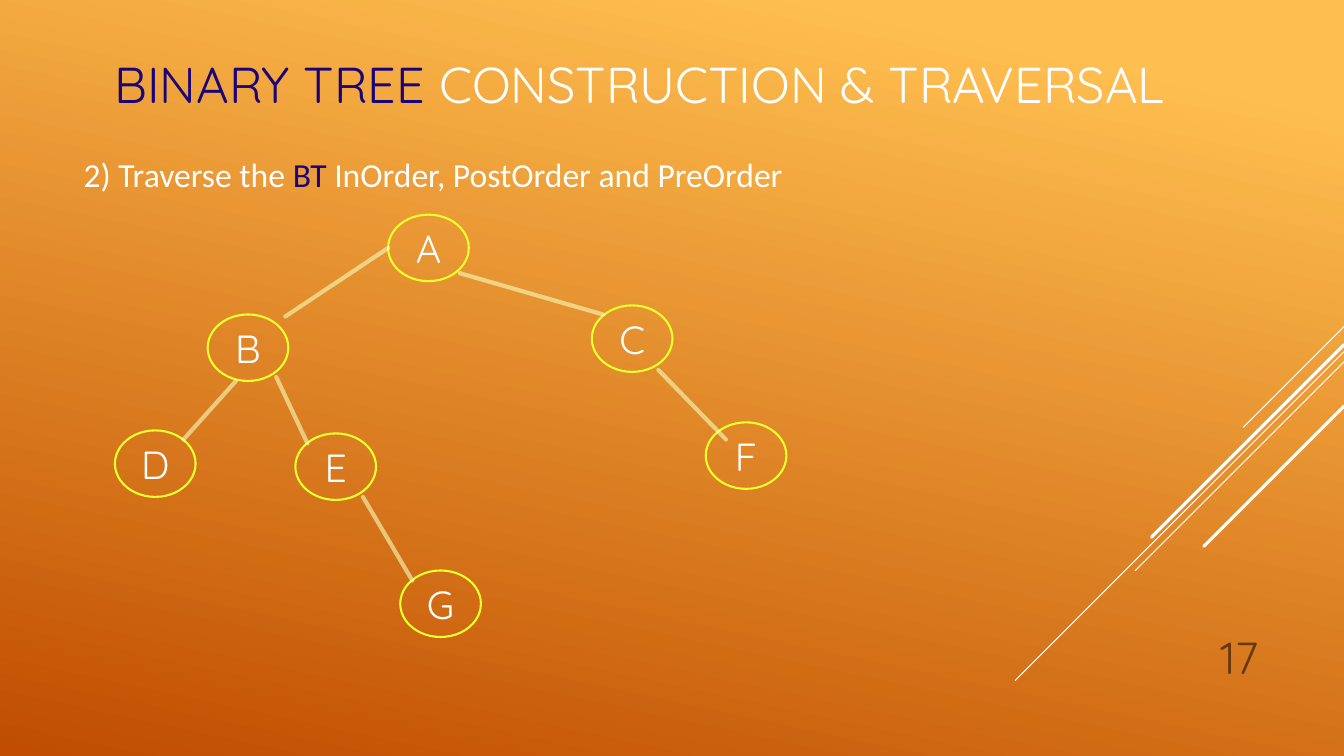
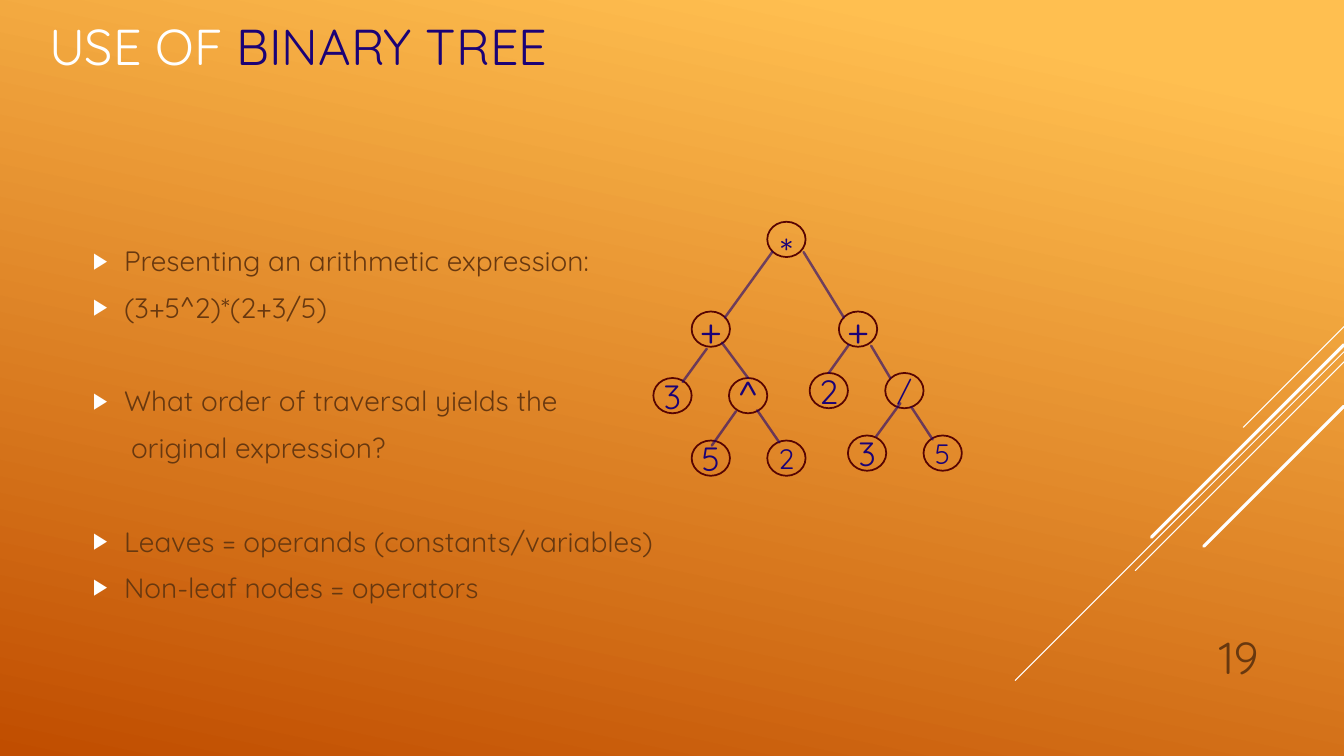
import pptx
import pptx.util
import pptx.dml.color
import pptx.enum.shapes
import pptx.enum.text
import pptx.oxml.ns
from lxml import etree

Inches, Pt = pptx.util.Inches, pptx.util.Pt
RGBColor = pptx.dml.color.RGBColor
Align = pptx.enum.text.PP_ALIGN
Anchor = pptx.enum.text.MSO_ANCHOR
qn = pptx.oxml.ns.qn

WHITE = RGBColor(0xFF, 0xFF, 0xFF)
NAVY = RGBColor(0x1B, 0x02, 0x76)
BROWN = RGBColor(0x68, 0x38, 0x0F)
MAROON = RGBColor(0x57, 0x04, 0x02)
LIME = RGBColor(0xEA, 0xFF, 0x2E)
CREAM = RGBColor(0xF8, 0xFF, 0xB9)
AMBER = RGBColor(0xFF, 0xBF, 0x50)
RUST = RGBColor(0xC0, 0x4D, 0x00)
FONT = "Quicksand"

WIDTH, HEIGHT = 13.33, 7.5
# Diagonals fall at 45 degrees from the right edge: top, run, weight
DIAGONALS = [(3.24, 1, 0.75), (3.49, 3.26, 0.75), (3.59, 2.07, 0.75),
             (3.42, 1.91, 2.25), (4.03, 1.39, 2.25)]
NUMBER_BOX = (11.33, 6.1, 1.25, 0.73)

TRAVERSAL = {
    "title": [("BINARY TREE ", NAVY), ("CONSTRUCTION & TRAVERSAL", WHITE)],
    "title_box": (0.62, 0, 11.03, 1.65),
    "title_align": Align.RIGHT,
    "body_box": (0.73, 1.48, 9.33, 3.95),
    "number": "17",
    "node_size": (0.8, 0.66),
    "node_line": (LIME, 1.5),
    "node_text": WHITE,
    "edge_line": (CREAM, 3),
    # label, left, top, text size
    "nodes": [("A", 3.85, 2.13, 28), ("B", 2.06, 3.12, 28), ("C", 5.87, 3.03, 28),
              ("D", 1.14, 4.27, 28), ("E", 2.93, 4.3, 28), ("F", 7, 4.19, 28),
              ("G", 3.97, 5.66, 28)],
    # parent end x, y, child end x, y
    "edges": [(3.85, 2.46, 2.83, 3.14), (4.56, 2.71, 5.98, 3.12),
              (2.34, 3.78, 1.82, 4.36), (2.74, 3.74, 3.05, 4.4),
              (6.53, 3.67, 7.2, 4.36), (3.6, 4.93, 4.09, 5.76)],
}
TASK = [("2) Traverse the ", WHITE), ("BT ", NAVY),
        ("InOrder, PostOrder and PreOrder", WHITE)]

EXPRESSION = {
    "title": [("USE OF ", WHITE), ("BINARY TREE", NAVY)],
    "title_box": (0.39, 0.01, 9.33, 0.88),
    "title_align": Align.LEFT,
    "body_box": (0.82, 1.47, 9.33, 5.47),
    "number": "19",
    "node_size": (0.38, 0.35),
    "node_line": (MAROON, 1.25),
    "node_text": NAVY,
    "edge_line": (NAVY, 1.75),
    "nodes": [("*", 7.61, 2.2, 28), ("+", 6.86, 3.09, 28), ("+", 8.32, 3.09, 28),
              ("3", 6.48, 3.75, 24), ("^", 7.23, 3.75, 28), ("2", 8.03, 3.7, 24),
              ("/", 8.78, 3.7, 20), ("5", 6.86, 4.37, 24), ("2", 7.61, 4.37, 20),
              ("3", 8.41, 4.32, 24), ("5", 9.16, 4.32, 20)],
    "edges": [(7.66, 2.5, 7.19, 3.15), (7.97, 2.5, 8.37, 3.15),
              (7.01, 3.46, 6.77, 3.79), (7.16, 3.4, 7.42, 3.75),
              (8.42, 3.42, 8.22, 3.7), (8.64, 3.43, 8.83, 3.75),
              (7.3, 4.08, 7.06, 4.42), (7.51, 4.07, 7.73, 4.39),
              (8.93, 4, 8.69, 4.33), (9.04, 4.04, 9.25, 4.36)],
}
# Each group is set off by one empty line's height; only bulleted lines are True
POINT_GROUPS = [
    [("Presenting an arithmetic expression:", True), ("(3+5^2)*(2+3/5)", True)],
    [("What order of traversal yields the", True), ("original expression?", False)],
    [("Leaves = operands (constants/variables)", True),
     ("Non-leaf nodes = operators", True)],
]
SPACE_BEFORE, SPACE_AFTER, GROUP_GAP = 3, 6, 34


def place(shape, box):
    shape.left, shape.top, shape.width, shape.height = map(Inches, box)


def style(para, size, color=None, font=FONT, align=Align.LEFT):
    para.alignment = align
    para.font.size, para.font.name = Pt(size), font
    if color is not None:
        para.font.color.rgb = color


def add_spans(para, spans):
    for text, color in spans:
        span = para.add_run()
        span.text = text
        span.font.color.rgb = color


def set_bullet(para, indent, hanging, bulleted):
    props = para._p.get_or_add_pPr()
    props.set("marL", str(Inches(indent)))
    props.set("indent", str(-Inches(hanging)))
    if not bulleted:
        etree.SubElement(props, qn("a:buNone"))
        return
    color = etree.SubElement(props, qn("a:buClr"))
    etree.SubElement(color, qn("a:srgbClr"), val=str(WHITE))
    etree.SubElement(props, qn("a:buSzPct"), val="80000")
    etree.SubElement(props, qn("a:buFont"), typeface="Arial")
    etree.SubElement(props, qn("a:buChar"), char="▶")


def add_line(page, ends, color, weight, opacity=100):
    line = page.shapes.add_connector(
        pptx.enum.shapes.MSO_CONNECTOR.STRAIGHT, *map(Inches, ends))
    line.line.color.rgb = color
    line.line.width = Pt(weight)
    outline = line.line._get_or_add_ln()
    outline.set("cap", "rnd")
    if opacity < 100:
        tint = outline.find(".//" + qn("a:srgbClr"))
        etree.SubElement(tint, qn("a:alpha"), val=str(opacity * 1000))
    etree.SubElement(line._element.spPr, qn("a:effectLst"))
    return line


def decorate_layout(layout, page):
    """Give the layout its gradient and its diagonals, drawn by way of a page."""
    fill = layout.background.fill
    fill.gradient()
    fill.gradient_angle = 360 - 102
    for stop, position, color in zip(fill.gradient_stops, (0.1, 1), (AMBER, RUST)):
        stop.position = position
        stop.color.rgb = color
    for top, run, weight in DIAGONALS:
        line = add_line(page, (WIDTH, top, WIDTH - run, top + run), WHITE, weight)
        layout.shapes._spTree.append(line._element)


def add_node(page, tree, label, left, top, size):
    node = page.shapes.add_shape(pptx.enum.shapes.MSO_SHAPE.OVAL, 0, 0, 0, 0)
    place(node, (left, top, *tree["node_size"]))
    node.shadow.inherit = False
    node.fill.background()
    color, weight = tree["node_line"]
    node.line.color.rgb, node.line.width = color, Pt(weight)
    frame = node.text_frame
    frame.margin_left = frame.margin_right = frame.margin_top = frame.margin_bottom = 0
    frame.vertical_anchor = Anchor.TOP if label == "*" else Anchor.MIDDLE
    frame.text = label
    style(frame.paragraphs[0], size, tree["node_text"], align=Align.CENTER)


def fill_page(page, tree):
    """Set title and number, draw the tree, and return the body's text frame."""
    title, body = page.placeholders
    place(title, tree["title_box"])
    place(body, tree["body_box"])
    for frame in (title.text_frame, body.text_frame):
        frame.auto_size = pptx.enum.text.MSO_AUTO_SIZE.NONE
        frame.word_wrap = True
    title.text_frame.vertical_anchor = Anchor.MIDDLE
    heading = title.text_frame.paragraphs[0]
    style(heading, 36, align=tree["title_align"])
    add_spans(heading, tree["title"])

    for node in tree["nodes"]:
        add_node(page, tree, *node)
    for edge in tree["edges"]:
        add_line(page, edge, *tree["edge_line"], opacity=60)

    box = page.shapes.add_textbox(*map(Inches, NUMBER_BOX))
    box.text_frame.word_wrap = True
    box.text_frame.vertical_anchor = Anchor.BOTTOM
    box.text_frame.text = tree["number"]
    style(box.text_frame.paragraphs[0], 32, BROWN, align=Align.RIGHT)
    return body.text_frame


def write_task(frame):
    frame.vertical_anchor = Anchor.TOP
    para = frame.paragraphs[0]
    style(para, 24, font="Calibri")
    set_bullet(para, 0, 0, False)
    add_spans(para, TASK)


def write_points(frame):
    frame.vertical_anchor = Anchor.MIDDLE
    para = frame.paragraphs[0]
    for group_index, group in enumerate(POINT_GROUPS):
        for line_index, (text, bulleted) in enumerate(group):
            if group_index or line_index:
                para = frame.add_paragraph()
            para.text = text
            style(para, 20, BROWN)
            gap = GROUP_GAP if group_index and not line_index else 0
            para.space_before = Pt(SPACE_BEFORE + gap)
            para.space_after = Pt(SPACE_AFTER)
            set_bullet(para, 0.31 if bulleted else 0.38, 0.31 if bulleted else 0, bulleted)


def main():
    deck = pptx.Presentation()
    deck.slide_width, deck.slide_height = Inches(WIDTH), Inches(HEIGHT)
    layout = deck.slide_layouts[1]
    pages = [deck.slides.add_slide(layout) for _ in range(2)]
    decorate_layout(layout, pages[0])
    write_task(fill_page(pages[0], TRAVERSAL))
    write_points(fill_page(pages[1], EXPRESSION))
    deck.save("out.pptx")


if __name__ == "__main__":
    main()
